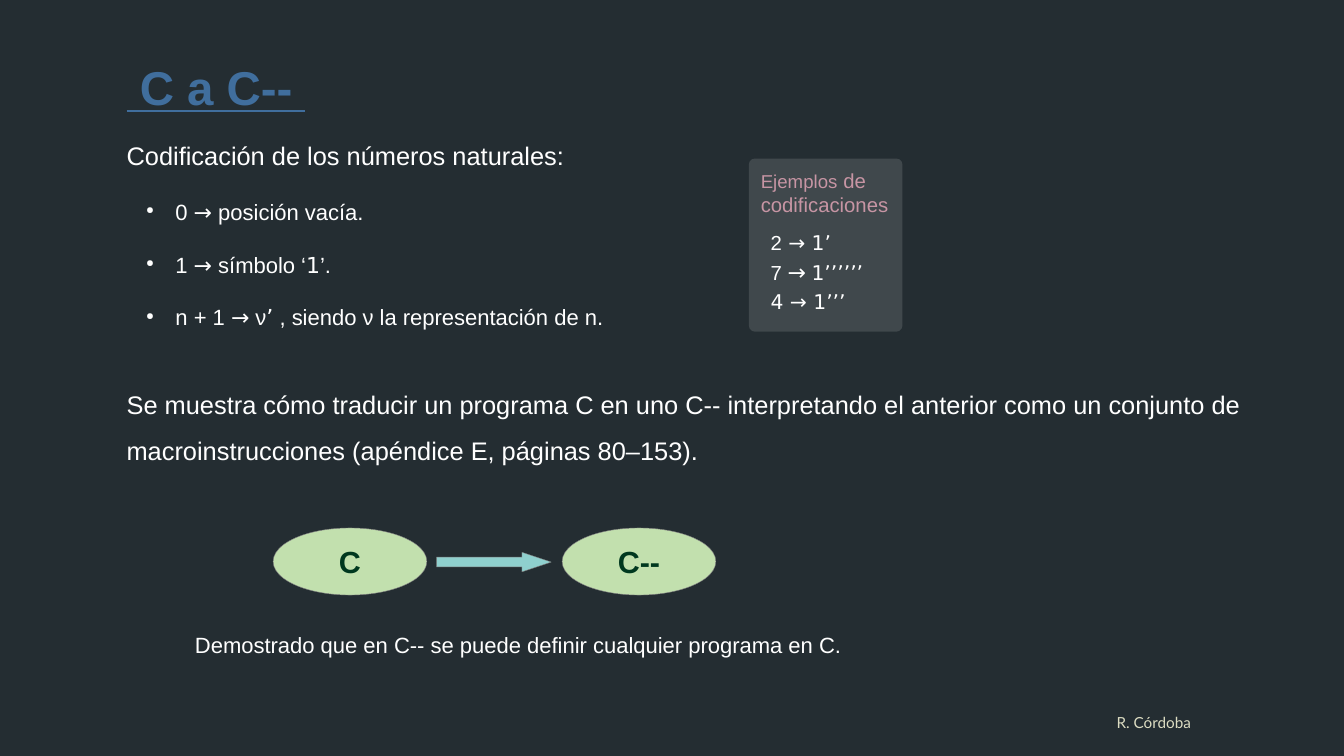
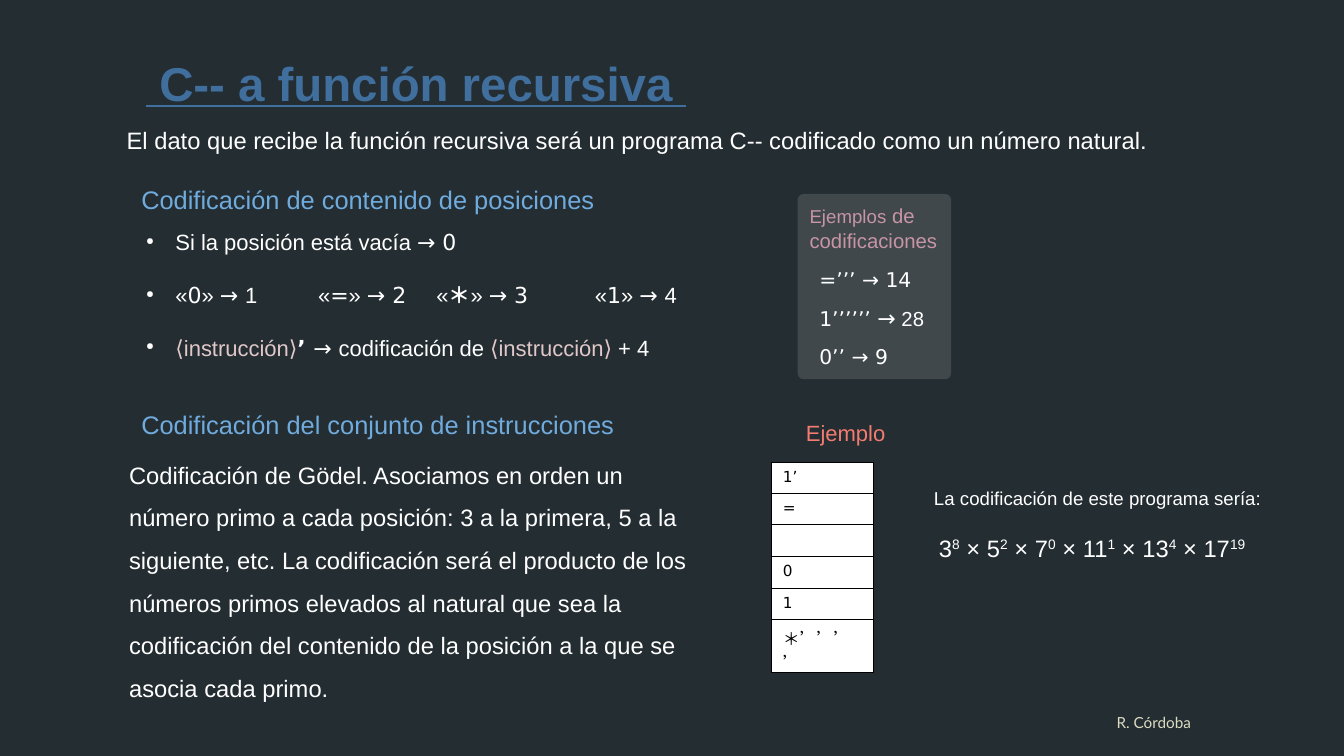
import pptx
import pptx.util
import pptx.dml.color
import pptx.enum.shapes
import pptx.enum.text
import pptx.oxml.ns
from lxml import etree

Inches = pptx.util.Inches
Pt = pptx.util.Pt
qn = pptx.oxml.ns.qn
SHAPE = pptx.enum.shapes.MSO_SHAPE
ALIGN = pptx.enum.text.PP_ALIGN
COLORS = {
    "background": "242D32", "title": "406E9D", "heading": "70ABDD",
    "text": "FFFFFF", "panel_title": "C795A4", "term": "E1C8C8",
    "example": "F37B70", "footer": "DCDCC2", "node": "C2E0AE",
    "node_text": "00381F", "arrow": "8FD0CE", "outline": "808080",
    "black": "000000", "white": "FFFFFF",
}
SYM = {"font": "DejaVu Sans"}
TERM = {"color": "term"}
SUP = {"sup": True}


class Deck:
    """Hold the shared style and the current slide, and draw each kind of element."""

    def __init__(self):
        self.prs = pptx.Presentation()
        self.prs.slide_width = Inches(11.02)
        self.prs.slide_height = Inches(6.2)
        self.s = None

    def rgb(self, name):
        return pptx.dml.color.RGBColor.from_string(COLORS[name])

    def slide(self, title, x, y):
        self.s = self.prs.slides.add_slide(self.prs.slide_layouts[6])
        fill = self.s.background.fill
        fill.solid()
        fill.fore_color.rgb = self.rgb("background")
        self.text((x, y, 8.2, 0.55), [title], size=28, color="title", bold=True, underline=True)
        self.text((7.9, 5.8, 3.15 - 0.03, 0.3), ["R. Córdoba"], size=9, color="footer",
                  font="Lato", align=ALIGN.CENTER)

    def style(self, r, size=13, color="text", font="Arial", bold=False, underline=False, sup=False):
        r.font.size = Pt(size)
        r.font.name = font
        r.font.bold = bold
        r.font.underline = underline
        r.font.color.rgb = self.rgb(color)
        if sup:
            r.font._element.set("baseline", "33000")

    def fill_paragraph(self, p, runs, base):
        for run in [runs] if isinstance(runs, str) else runs:
            text, change = (run, {}) if isinstance(run, str) else run
            r = p.add_run()
            r.text = text
            self.style(r, **{**base, **change})

    def bullet(self, p, tabs):
        pPr = p._p.get_or_add_pPr()
        pPr.set("marL", str(Inches(0.24)))
        pPr.set("indent", str(-Inches(0.24)))
        clr = etree.SubElement(pPr, qn("a:buClr"))
        etree.SubElement(clr, qn("a:srgbClr"), val=COLORS["text"])
        etree.SubElement(pPr, qn("a:buSzPct"), val="45000")
        etree.SubElement(pPr, qn("a:buChar"), char="●")
        if tabs:
            stops = etree.SubElement(pPr, qn("a:tabLst"))
            for tab in tabs:
                etree.SubElement(stops, qn("a:tab"), pos=str(Inches(tab)), algn="l")

    def text(self, at, paragraphs, spacing=None, align=None, bullets=False, tabs=(), **base):
        tf = self.s.shapes.add_textbox(*map(Inches, at)).text_frame
        tf.word_wrap = True
        for i, runs in enumerate(paragraphs):
            p = tf.add_paragraph() if i else tf.paragraphs[0]
            if bullets:
                self.bullet(p, tabs)
            p.line_spacing = spacing
            p.alignment = align
            self.fill_paragraph(p, runs, base)

    def bullets(self, at, paragraphs, tabs=()):
        self.text(at, paragraphs, spacing=Pt(31.2), bullets=True, tabs=tabs)

    def shape(self, kind, at, fill, line=None):
        sp = self.s.shapes.add_shape(kind, *map(Inches, at))
        sp.shadow.inherit = False
        sp.fill.solid()
        sp.fill.fore_color.rgb = self.rgb(fill)
        if line:
            sp.line.color.rgb = self.rgb(line)
            sp.line.width = Pt(0.25)
        else:
            sp.line.fill.background()
        return sp

    def node(self, x, label):
        sp = self.shape(SHAPE.OVAL, (x, 4.33, 1.26, 0.55), "node", "outline")
        tf = sp.text_frame
        tf.word_wrap = False
        tf.text = label
        p = tf.paragraphs[0]
        p.alignment = ALIGN.CENTER
        self.style(p.runs[0], size=18, color="node_text", bold=True)

    def arrow(self, x):
        sp = self.shape(SHAPE.RIGHT_ARROW, (x, 4.53, 0.94, 0.16), "arrow", "outline")
        sp.adjustments[1] = 1.5

    def panel(self, x, y, height, examples, offset, spacing):
        sp = self.shape(SHAPE.ROUNDED_RECTANGLE, (x, y, 1.26, height), "white")
        sp.adjustments[0] = 0.04
        color = sp.fill._xPr.find(".//" + qn("a:srgbClr"))
        etree.SubElement(color, qn("a:alpha"), val="13000")
        self.text((x, y + 0.03, 1.26, 0.47),
                  [[("Ejemplos", {"size": 11}), " de codificaciones"]], size=12, color="panel_title")
        self.text((x + 0.08, y + offset, 1.1, height - offset), examples, spacing=spacing, size=12)

    def table(self, x, y, width, heights, values):
        frame = self.s.shapes.add_table(len(values), 1, Inches(x), Inches(y),
                                        Inches(width), Inches(sum(heights)))
        table = frame.table
        table.first_row = table.horz_banding = False
        table.columns[0].width = Inches(width)
        for row, height, value in zip(table.rows, heights, values):
            row.height = Inches(height)
            cell = row.cells[0]
            p = cell.text_frame.paragraphs[0]
            if value:
                size = 10 if len(value) > 2 else 9
                self.fill_paragraph(p, value, {"size": size, "color": "black", **SYM})
            else:
                etree.SubElement(p._p, qn("a:endParaRPr"), sz="900")
            tcPr = cell._tc.get_or_add_tcPr()
            for side in ("a:lnL", "a:lnR", "a:lnT", "a:lnB"):
                ln = etree.SubElement(tcPr, qn(side), w="762")
                solid = etree.SubElement(ln, qn("a:solidFill"))
                etree.SubElement(solid, qn("a:srgbClr"), val=COLORS["black"])
            cell.fill.solid()
            cell.fill.fore_color.rgb = self.rgb("white")


def c_to_c_minus(deck):
    deck.slide(" C a C-- ", 0.94, 0.43)
    deck.text((0.94, 1.1, 3.9, 0.33), ["Codificación de los números naturales:"], size=15)
    deck.bullets((1.1, 1.36, 4.88, 1.48), [
        ["0 ", ("→", SYM), " posición vacía."],
        ["1 ", ("→", SYM), " símbolo ‘", ("1", SYM), "’."],
        ["n + 1 ", ("→", SYM), " ν", ("’", SYM), " , siendo ν la representación de n."],
    ])
    deck.panel(6.14, 1.3, 1.42, [
        ["2", (" → 1’", SYM)],
        ["7 ", ("→", {"size": 13, **SYM}), " ", ("1’’’’’’", SYM)],
        [("4 → 1’’’", SYM)],
    ], 0.51, 1.15)
    deck.text((0.94, 3.02, 9.76, 0.79), [
        "Se muestra cómo traducir un programa C en uno C-- interpretando el anterior como "
        "un conjunto de macroinstrucciones (apéndice E, páginas 80‒153)."], spacing=1.5, size=15)
    deck.node(2.24, "C")
    deck.arrow(3.58)
    deck.node(4.61, "C--")
    deck.text((1.5, 5.13, 5.91, 0.5),
              ["Demostrado que en C-- se puede definir cualquier programa en C."])


def c_minus_to_recursive(deck):
    deck.slide(" C-- a función recursiva ", 1.1, 0.39)
    deck.text((0.94, 0.87, 9.61, 0.43), [
        "El dato que recibe la función recursiva será un programa C-- codificado como "
        "un número natural."], spacing=1.5, size=14)
    headings = {1.46: "Codificación de contenido de posiciones",
                3.31: "Codificación del conjunto de instrucciones"}
    for y, heading in headings.items():
        deck.text((1.06, y, 4.21, 0.35), [heading], size=15, color="heading")
    deck.bullets((1.1, 1.61, 7.24, 1.4), [
        ["Si la posición está vacía ", ("→ 0", SYM)],
        ["«", ("0", SYM), "» ", ("→ ", SYM), "1\t«", ("=", SYM), "» ", ("→ 2", SYM),
         "\t«", ("＊", {"bold": True, **SYM}), "» ", ("→ 3", SYM),
         "\t«", ("1", SYM), "» ", ("→ ", SYM), "4"],
        [("⟨instrucción⟩", TERM), ("’ ", {"bold": True, **SYM}), ("→ ", SYM),
         "codificación de ", ("⟨instrucción⟩ ", TERM), "+ 4"],
    ], tabs=(1.41, 2.38, 3.68))
    deck.panel(6.54, 1.59, 1.52, [
        [("=’’’ → 14", SYM)],
        [("1’’’’’’ ", SYM), ("→", {"size": 13, **SYM}), " 28"],
        [("0’’ → 9", SYM)],
    ], 0.44, Pt(22.7))
    deck.text((0.96, 3.61, 4.79, 2.06), [
        "Codificación de Gödel. Asociamos en orden un número primo a cada posición: 3 a la "
        "primera, 5 a la siguiente, etc. La codificación será el producto de los números "
        "primos elevados al natural que sea la codificación del contenido de la posición a "
        "la que se asocia cada primo."], spacing=1.5, size=14)
    deck.text((6.51, 3.39, 0.95, 0.3), ["Ejemplo"], color="example")
    deck.table(6.32, 3.79, 0.84, [0.18] + [0.26] * 4 + [0.29], ["1’", "=", "", "0", "1", "＊’’’’"])
    deck.text((7.56, 3.94, 2.99, 0.31), ["La codificación de este programa sería:"], size=11)
    powers = [(3, 8), (5, 2), (7, 0), (11, 1), (13, 4), (17, 19)]
    runs = []
    for prime, power in powers:
        runs += [f" × {prime}" if runs else str(prime), (str(power), SUP)]
    deck.text((7.6, 4.33, 2.91, 0.32), [runs], size=14)


def main():
    deck = Deck()
    c_to_c_minus(deck)
    c_minus_to_recursive(deck)
    deck.prs.save("out.pptx")


if __name__ == "__main__":
    main()
